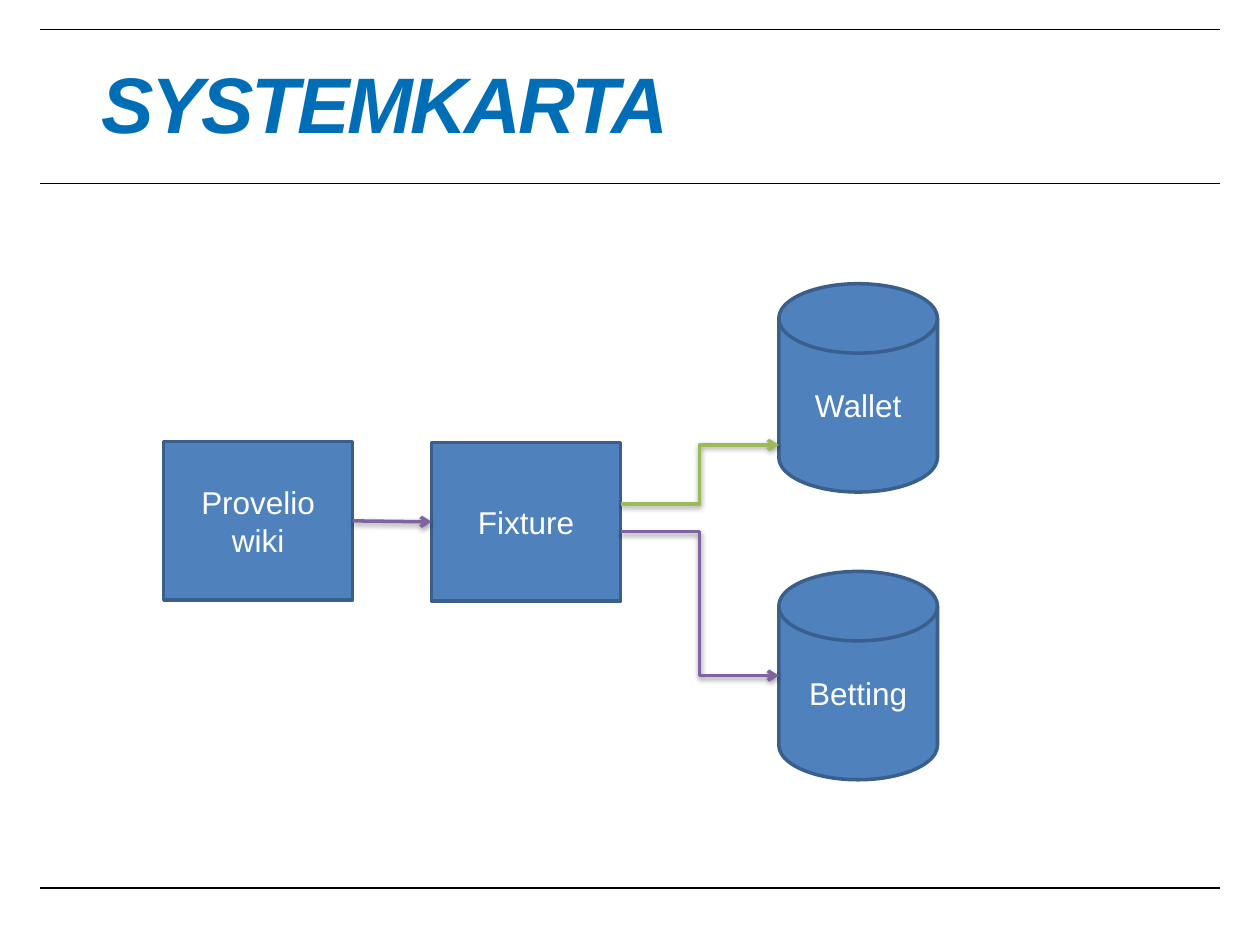
from lxml import etree
from pptx import Presentation
from pptx.dml.color import RGBColor
from pptx.enum.shapes import MSO_CONNECTOR, MSO_SHAPE
from pptx.enum.text import MSO_ANCHOR, MSO_AUTO_SIZE, PP_ALIGN
from pptx.oxml import parse_xml
from pptx.oxml.ns import qn
from pptx.util import Cm, Pt

STRAIGHT, ELBOW = MSO_CONNECTOR.STRAIGHT, MSO_CONNECTOR.ELBOW
PROCESS = MSO_SHAPE.FLOWCHART_PROCESS
DISK = MSO_SHAPE.FLOWCHART_MAGNETIC_DISK
MIDDLE, LEFT, CENTER = MSO_ANCHOR.MIDDLE, PP_ALIGN.LEFT, PP_ALIGN.CENTER
NO_AUTO_SIZE = MSO_AUTO_SIZE.NONE
RIGHT_SIDE, LEFT_SIDE = 3, 1

BLACK = RGBColor(0x00, 0x00, 0x00)
WHITE = RGBColor(0xFF, 0xFF, 0xFF)
TITLE_BLUE = RGBColor(0x00, 0x6E, 0xB7)
FILL_BLUE = RGBColor(0x4F, 0x81, 0xBD)
EDGE_BLUE = RGBColor(0x3A, 0x5F, 0x8C)
PURPLE = RGBColor(0x80, 0x64, 0xA2)
GREEN = RGBColor(0x9B, 0xBB, 0x59)

FONT = "Arial"
TITLE = "SYSTEMKARTA"
WIDTH, HEIGHT = 25.4, 19.05
MARGIN = 0.8
RULE_TOPS = (17.9, 0.6, 3.7)
SIZES = {PROCESS: (3.81, 3.2), DISK: (3.2, 4.2)}
NODES = {
    "wiki": ("Provelio\nwiki", PROCESS, 3.3, 8.9),
    "fixture": ("Fixture", PROCESS, 8.7, 8.92),
    "wallet": ("Wallet", DISK, 15.7, 5.72),
    "betting": ("Betting", DISK, 15.7, 11.52),
}
BRANCHES = [
    ("fixture", "wallet", 10.16, 8.97, GREEN),
    ("fixture", "betting", 10.72, 13.62, PURPLE),
]
NO_EFFECTS = '<a:effectLst xmlns:a="http://schemas.openxmlformats.org/drawingml/2006/main"/>'
SHADOW = (
    '<a:effectLst xmlns:a="http://schemas.openxmlformats.org/drawingml/2006/main">'
    '<a:outerShdw blurRad="40000" dist="20000" dir="5400000" rotWithShape="0">'
    '<a:srgbClr val="000000"><a:alpha val="38000"/></a:srgbClr>'
    "</a:outerShdw></a:effectLst>"
)


def add_line(slide, kind, start, end, color, width, effects):
    connector = slide.shapes.add_connector(kind, *map(Cm, start + end))
    connector.line.color.rgb = color
    connector.line.width = Pt(width)
    connector._element.spPr.append(parse_xml(effects))
    return connector


def add_arrow(slide, kind, start, end, color):
    connector = add_line(slide, kind, start, end, color, 2, SHADOW)
    line = connector._element.spPr.find(qn("a:ln"))
    etree.SubElement(line, qn("a:tailEnd"), type="arrow")
    return connector


def format_text(text_frame, alignment, size, color):
    text_frame.word_wrap = True
    text_frame.vertical_anchor = MIDDLE
    for paragraph in text_frame.paragraphs:
        paragraph.alignment = alignment
        for run in paragraph.runs:
            run.font.name = FONT
            run.font.size = Pt(size)
            run.font.color.rgb = color


def add_title(slide):
    title = slide.shapes.title
    title.left, title.top = Cm(1.8), Cm(0.92)
    title.width, title.height = Cm(21.8), Cm(2.5)
    title.text_frame.text = TITLE
    title.text_frame.auto_size = NO_AUTO_SIZE
    format_text(title.text_frame, LEFT, 45, TITLE_BLUE)
    paragraph = title.text_frame.paragraphs[0]
    paragraph.line_spacing = 0.9
    run = paragraph.runs[0]
    run.font.bold = run.font.italic = True
    run.font._element.set("spc", "-150")


def add_node(slide, label, kind, left, top):
    shape = slide.shapes.add_shape(kind, *map(Cm, (left, top) + SIZES[kind]))
    shape.shadow.inherit = False
    shape.fill.solid()
    shape.fill.fore_color.rgb = FILL_BLUE
    shape.line.color.rgb = EDGE_BLUE
    shape.line.width = Pt(2)
    shape.text_frame.text = label
    format_text(shape.text_frame, CENTER, 18, WHITE)
    return shape


def main():
    presentation = Presentation()
    presentation.slide_width, presentation.slide_height = Cm(WIDTH), Cm(HEIGHT)
    slide = presentation.slides.add_slide(presentation.slide_layouts[5])

    for top in RULE_TOPS:
        add_line(slide, STRAIGHT, (MARGIN, top), (WIDTH - MARGIN, top), BLACK, 0.75, NO_EFFECTS)
    add_title(slide)
    shapes = {name: add_node(slide, *node) for name, node in NODES.items()}

    link = add_arrow(slide, STRAIGHT, (0, 0), (1, 1), PURPLE)
    link.begin_connect(shapes["wiki"], RIGHT_SIDE)
    link.end_connect(shapes["fixture"], LEFT_SIDE)

    for source, target, start_top, end_top, color in BRANCHES:
        start_left = shapes[source].left.cm + shapes[source].width.cm
        end_left = shapes[target].left.cm
        add_arrow(slide, ELBOW, (start_left, start_top), (end_left, end_top), color)

    presentation.save("out.pptx")


if __name__ == "__main__":
    main()
